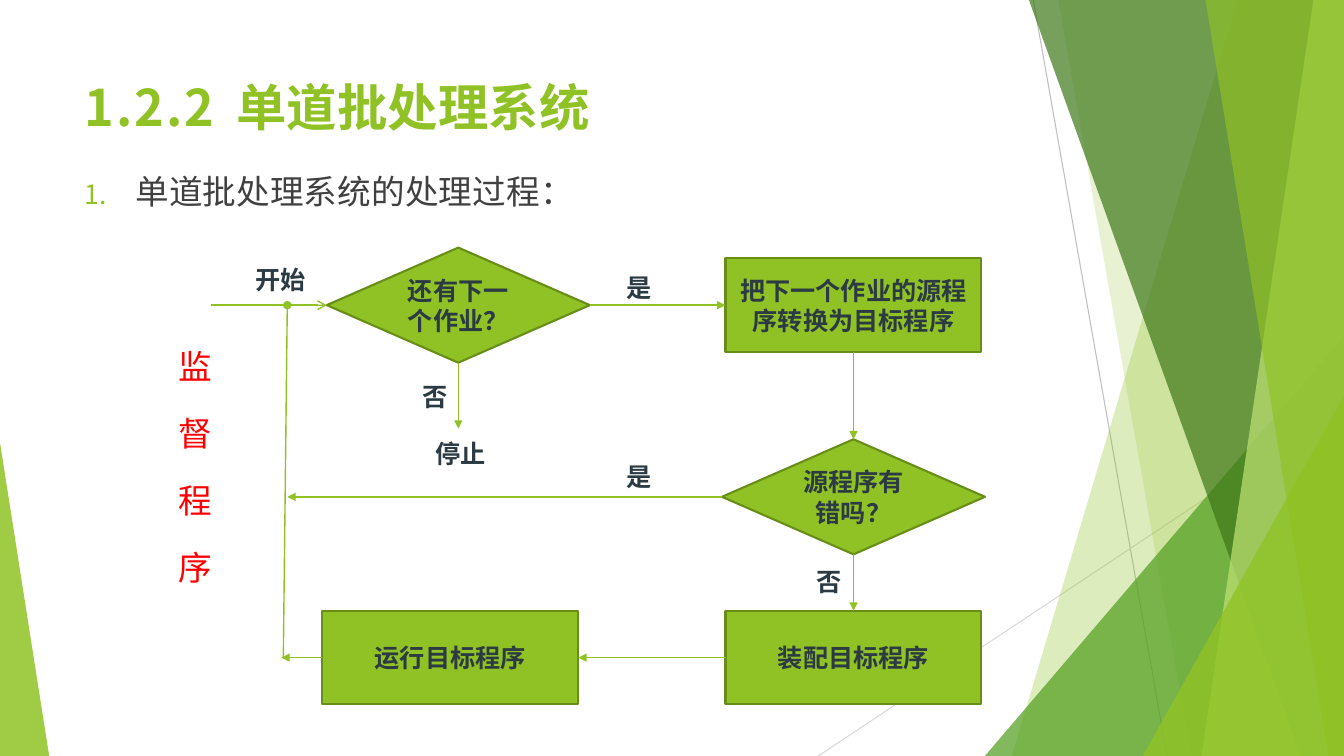
"""Build the slide on the single-stream batch processing system."""
import lxml.etree
import pptx
import pptx.dml.color
import pptx.enum.shapes
import pptx.enum.text
import pptx.oxml.ns
import pptx.util

Cm, Pt = pptx.util.Cm, pptx.util.Pt
RGBColor = pptx.dml.color.RGBColor
SHAPE = pptx.enum.shapes.MSO_SHAPE
ALIGN = pptx.enum.text.PP_ALIGN
ANCHOR = pptx.enum.text.MSO_ANCHOR
qn = pptx.oxml.ns.qn

LIME = RGBColor(0x90, 0xC2, 0x25)
OLIVE = RGBColor(0x68, 0x8E, 0x18)
LEAF = RGBColor(0x53, 0x9F, 0x20)
FOREST = RGBColor(0x3E, 0x78, 0x18)
PALE = RGBColor(0xC0, 0xE3, 0x74)
SLATE = RGBColor(0x2C, 0x3B, 0x43)
CHARCOAL = RGBColor(0x40, 0x40, 0x40)
SILVER = RGBColor(0xBE, 0xBE, 0xBE)
MIST = RGBColor(0xD9, 0xD9, 0xD9)
RED = RGBColor(0xFF, 0x00, 0x00)

WIDTH, HEIGHT = 33.87, 19.05
LEFT_EDGE = 2.11


class FlowSlide:
    """Hold the text style and the current slide."""

    font = "Noto Sans CJK SC"
    title_font = "Noto Sans CJK TC"
    line_pitch = 1.22

    def __init__(self, deck):
        self.slide = deck.slides.add_slide(deck.slide_layouts[1])
        self.shapes = self.slide.shapes

    def add_text(self, paragraph, text, size, color, bold=False, font=None, spacing=0):
        run = paragraph.add_run()
        run.text = text
        run.font.size = Pt(size)
        run.font.bold = bold
        run.font.color.rgb = color
        run.font.name = font or self.font
        properties = run.font._element
        properties.set("spc", str(round(spacing * 100)))
        lxml.etree.SubElement(properties, qn("a:ea"), typeface=font or self.font)

    def set_lines(self, paragraph, size, align=ALIGN.LEFT):
        paragraph.alignment = align
        paragraph.line_spacing = Pt(round(size * self.line_pitch, 1))
        paragraph.space_before = Pt(0)

    def set_frame(self, frame, anchor=ANCHOR.TOP, left=0.03, top=0.06):
        frame.word_wrap = True
        frame.auto_size = pptx.enum.text.MSO_AUTO_SIZE.NONE
        frame.vertical_anchor = anchor
        frame.margin_left, frame.margin_top = Cm(left), Cm(top)
        frame.margin_right = frame.margin_bottom = 0

    def heading(self, placeholder, box, tab, size, runs):
        placeholder.left, placeholder.top, placeholder.width, placeholder.height = map(Cm, box)
        self.set_frame(placeholder.text_frame)
        paragraph = placeholder.text_frame.paragraphs[0]
        properties = paragraph._p.get_or_add_pPr()
        properties.set("marL", "0")
        properties.set("indent", "0")
        lxml.etree.SubElement(properties, qn("a:buNone"))
        tabs = lxml.etree.SubElement(properties, qn("a:tabLst"))
        lxml.etree.SubElement(tabs, qn("a:tab"), pos=str(int(Cm(tab))), algn="l")
        self.set_lines(paragraph, size)
        for run in runs:
            self.add_text(paragraph, **run)

    def facet(self, corners, color, opacity):
        points = [(Cm(x), Cm(y)) for x, y in corners]
        builder = self.shapes.build_freeform(*points[0])
        builder.add_line_segments(points[1:], close=True)
        facet = builder.convert_to_shape()
        facet.shadow.inherit = False
        facet.fill.solid()
        facet.fill.fore_color.rgb = color
        facet.line.fill.background()
        tint = facet._element.spPr.find(qn("a:solidFill"))[0]
        lxml.etree.SubElement(tint, qn("a:alpha"), val=str(opacity * 1000))

    def line(self, begin, end, color=LIME, width=1, head=None, tail=None):
        line = self.shapes.add_connector(
            pptx.enum.shapes.MSO_CONNECTOR.STRAIGHT, *map(Cm, begin + end))
        line.line.color.rgb = color
        line.line.width = Pt(width)
        properties = line._element.spPr
        stroke = properties.find(qn("a:ln"))
        for tag, kind in (("a:headEnd", head), ("a:tailEnd", tail)):
            if kind:
                lxml.etree.SubElement(stroke, qn(tag), type=kind)
        lxml.etree.SubElement(properties, qn("a:effectLst"))
        return line

    def link(self, source, source_site, target, target_site):
        link = self.line((0, 0), (0, 0), tail="triangle")
        link.begin_connect(source, source_site)
        link.end_connect(target, target_site)

    def node(self, kind, center, size, lines):
        (x, y), (width, height) = center, size
        node = self.shapes.add_shape(
            kind, Cm(x - width / 2), Cm(y - height / 2), Cm(width), Cm(height))
        node.shadow.inherit = False
        node.fill.solid()
        node.fill.fore_color.rgb = LIME
        node.line.color.rgb = OLIVE
        node.line.width = Pt(1.5)
        frame = node.text_frame
        self.set_frame(frame, ANCHOR.MIDDLE, 0, 0)
        for index, text in enumerate(lines):
            paragraph = frame.add_paragraph() if index else frame.paragraphs[0]
            self.set_lines(paragraph, 18, ALIGN.CENTER)
            self.add_text(paragraph, text, 18, SLATE, bold=True)
        return node

    def label(self, text, left, top, size=18, color=SLATE, bold=True):
        label = self.shapes.add_textbox(
            Cm(left), Cm(top), Pt(size * len(text) + 3), Pt(size * self.line_pitch + 2))
        self.set_frame(label.text_frame)
        paragraph = label.text_frame.paragraphs[0]
        self.set_lines(paragraph, size)
        self.add_text(paragraph, text, size, color, bold)


deck = pptx.Presentation()
deck.slide_width, deck.slide_height = Cm(WIDTH), Cm(HEIGHT)
flow = FlowSlide(deck)

flow.line((26.04, 0), (29.41, HEIGHT), SILVER, 0.75)
flow.line((WIDTH, 10.24), (20.62, HEIGHT), MIST, 0.75)
for top_corner, bottom_x, color, opacity in (
    ((31.19, 0), 25.5, LIME, 30),
    ((26.67, 0), 30.02, LIME, 20),
    ((WIDTH, 8.46), 24.82, LEAF, 72),
    ((25.93, 0), 32.79, FOREST, 70),
    ((33.1, 0), 30.28, PALE, 70),
    ((30.38, 0), 33.48, LIME, 65),
    ((WIDTH, 9.98), 28.8, LIME, 80),
):
    right_edge = [(WIDTH, HEIGHT), (WIDTH, top_corner[1])]
    flow.facet([top_corner, (bottom_x, HEIGHT)] + right_edge, color, opacity)
flow.facet([(0, 11.15), (0, HEIGHT), (1.24, HEIGHT)], LIME, 85)

title_style = dict(size=36, color=LIME, bold=True, font=flow.title_font)
flow.heading(flow.shapes.title, (LEFT_EDGE, 1.83, 13.6, 1.6), 4.5, 36, [
    dict(text="1.2.", spacing=1.4, **title_style),
    dict(text="2\t", spacing=1.9, **title_style),
    dict(text="单道批处理系统", spacing=0.1, **title_style),
])
flow.heading(flow.slide.placeholders[1], (LEFT_EDGE, 4.22, 12.34, 2.1), 1.3, 24, [
    dict(text="1.\t", size=19, color=LIME, spacing=0.1),
    dict(text="单道批处理系统的处理过程：", size=24, color=CHARCOAL, spacing=0.1),
])

DECISION, STEP = (6.63, 2.9), (6.45, 2.36)
LEFT, RIGHT = 11.55, 21.51
JOB_ROW, CHECK_ROW, RUN_ROW = 7.69, 12.52, 16.57
LOOP_TOP, LOOP_FOOT = 7.24, 7.14
TOP, WEST, BOTTOM, EAST = range(4)

more_jobs = flow.node(SHAPE.DIAMOND, (LEFT, JOB_ROW), DECISION, ["还有下一", "个作业？"])
translate = flow.node(SHAPE.RECTANGLE, (RIGHT, JOB_ROW), STEP,
                      ["把下一个作业的源程", "序转换为目标程序"])
has_errors = flow.node(SHAPE.DIAMOND, (RIGHT, CHECK_ROW), DECISION, ["源程序有", "错吗？"])
assemble = flow.node(SHAPE.RECTANGLE, (RIGHT, RUN_ROW), STEP, ["装配目标程序"])
execute = flow.node(SHAPE.RECTANGLE, (11.35, RUN_ROW), STEP, ["运行目标程序"])

flow.link(more_jobs, EAST, translate, WEST)
flow.link(translate, BOTTOM, has_errors, TOP)
flow.link(has_errors, BOTTOM, assemble, TOP)
flow.link(assemble, WEST, execute, EAST)

start = flow.line((5.31, JOB_ROW), (LEFT, JOB_ROW), tail="arrow")
start.end_connect(more_jobs, WEST)
for source, site, end in (
    (more_jobs, BOTTOM, (LEFT, 10.8)),
    (has_errors, WEST, (LOOP_TOP, CHECK_ROW)),
    (execute, WEST, (LOOP_FOOT - 0.05, RUN_ROW)),
):
    flow.line(end, end, tail="triangle").begin_connect(source, site)
flow.line((LOOP_TOP, JOB_ROW), (LOOP_FOOT, RUN_ROW), head="oval")

for text, left, top in (
    ("开始", 6.4, 6.58), ("是", 15.75, 6.78), ("否", 10.62, 9.53),
    ("停止", 10.95, 10.96), ("是", 15.75, 11.56), ("否", 20.55, 14.2),
):
    flow.label(text, left, top)
for row, character in enumerate("监督程序"):
    flow.label(character, 4.47, 8.64 + 1.69 * row, 24, RED, bold=False)

deck.save("out.pptx")
